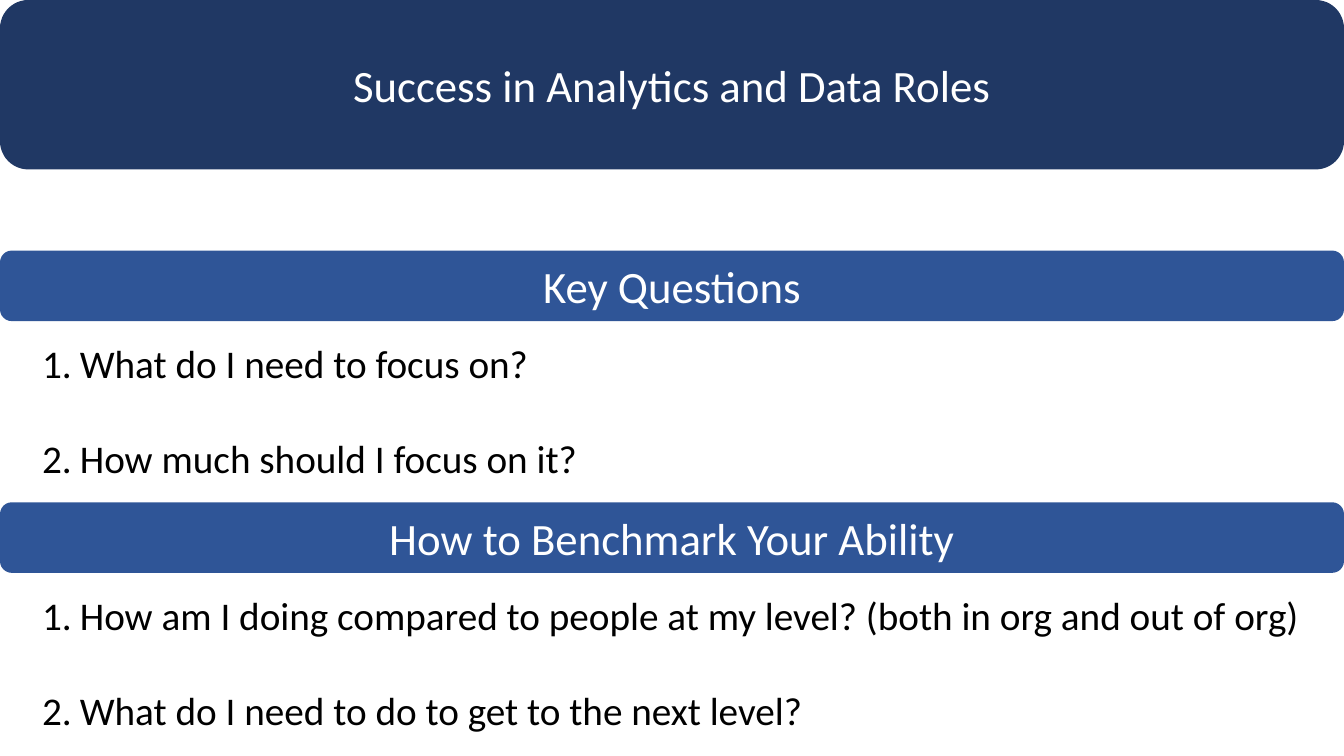
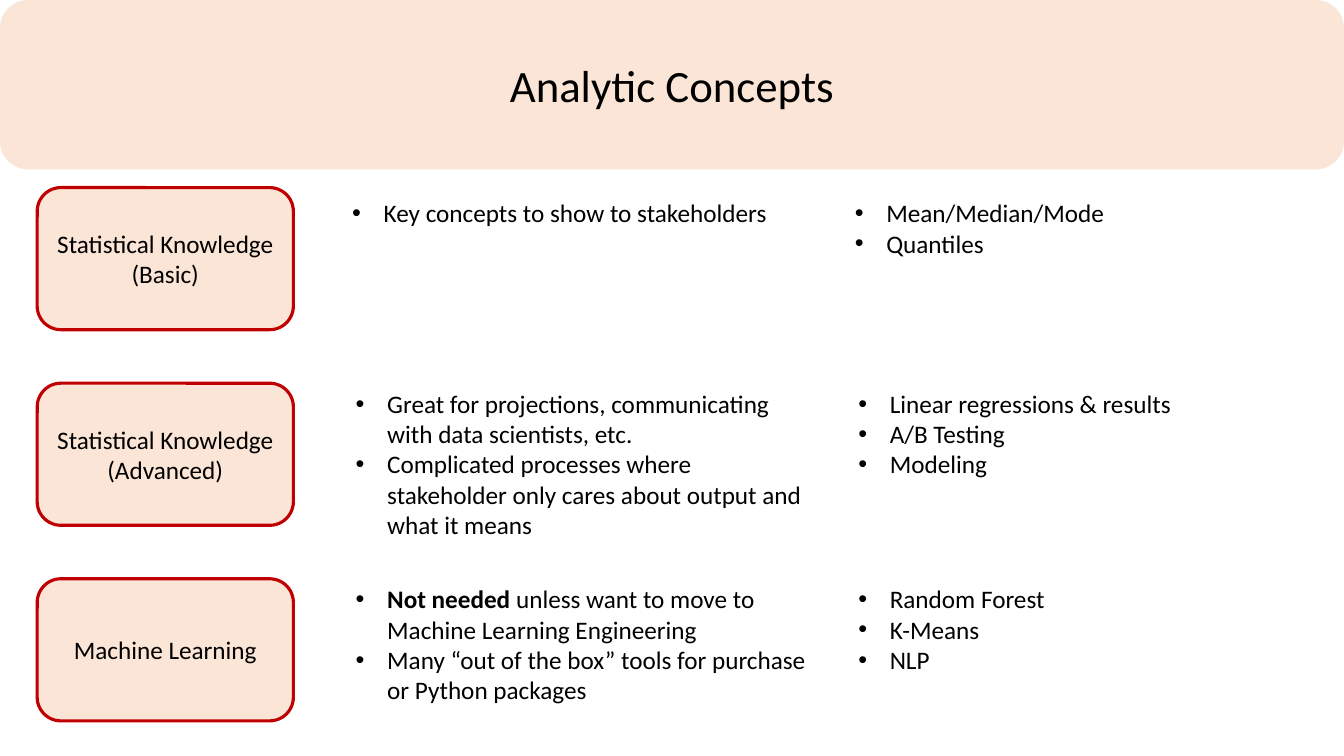
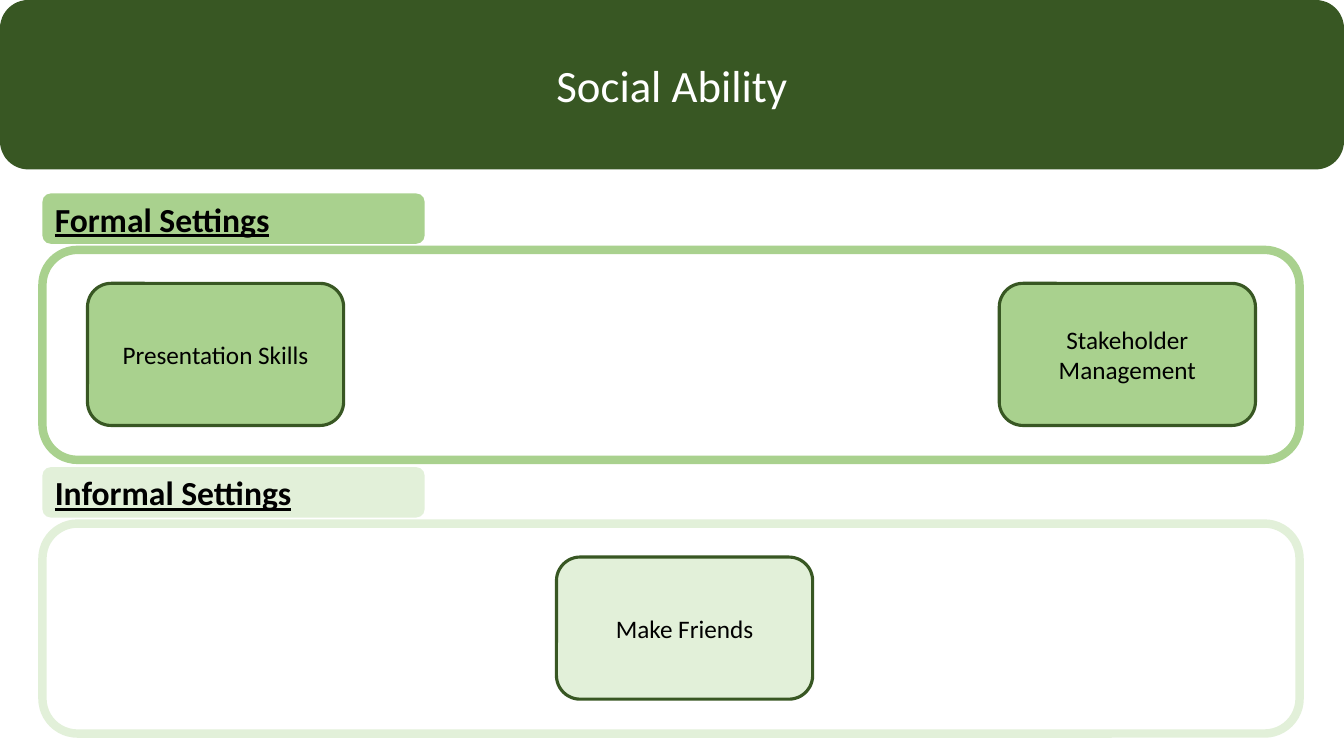
from pptx import Presentation
from pptx.dml.color import RGBColor
from pptx.enum.shapes import MSO_SHAPE
from pptx.enum.text import MSO_ANCHOR, PP_ALIGN
from pptx.oxml.xmlchemy import OxmlElement
from pptx.util import Pt

FONT = "Calibri"
WIDTH, HEIGHT = 960, 540
TITLE_H = 121
CARD_W, CARD_H = 183, 101.5
NAVY, BLUE = "203864", "2F5597"
PEACH, RED = "FBE5D6", "C00000"
FOREST, GREEN, MINT = "385723", "A9D18E", "E2F0D9"
BLACK, WHITE = "000000", "FFFFFF"


def rgb(value):
    """Turn a hex string into a colour."""
    return RGBColor.from_string(value)


def style(r, size, color=BLACK, bold=False, underline=False):
    """Format one run."""
    r.font.name = FONT
    r.font.size = Pt(size)
    r.font.color.rgb = rgb(color)
    r.font.bold = bold
    r.font.underline = underline


def add_box(s, box, fill=None, line=None, line_w=2.25):
    """Add a rounded rectangle with optional fill and outline."""
    sp = s.shapes.add_shape(MSO_SHAPE.ROUNDED_RECTANGLE, *map(Pt, box))
    sp.shadow.inherit = False
    if fill:
        sp.fill.solid()
        sp.fill.fore_color.rgb = rgb(fill)
    else:
        sp.fill.background()
    if line:
        sp.line.color.rgb = rgb(line)
        sp.line.width = Pt(line_w)
    else:
        sp.line.fill.background()
    return sp


def add_label(s, box, text, size, fill, line=None, color=BLACK,
              align=PP_ALIGN.CENTER, heading=False):
    """Add a filled rounded rectangle holding one line of text."""
    tf = add_box(s, box, fill, line).text_frame
    tf.word_wrap = True
    tf.vertical_anchor = MSO_ANCHOR.MIDDLE
    tf.text = text
    p = tf.paragraphs[0]
    p.alignment = align
    style(p.runs[0], size, color, heading, heading)


def add_band(s, top, height, text, fill, color=WHITE):
    """Add a full-width heading band."""
    add_label(s, (0, top, WIDTH, height), text, 32, fill, color=color)


def add_list(s, box, items, size, indent, numbered=False, gap=0):
    """Add a list; parts of an item before a bar are bold."""
    tf = s.shapes.add_textbox(*map(Pt, box)).text_frame
    tf.word_wrap = True
    for i, item in enumerate(items):
        p = tf.add_paragraph() if i else tf.paragraphs[0]
        p.space_before = Pt(gap if i else 0)
        *leads, rest = item.split("|")
        for text in leads + [rest]:
            r = p.add_run()
            r.text = text
            style(r, size, bold=text in leads)
        pPr = p._p.get_or_add_pPr()
        pPr.set("marL", str(Pt(indent)))
        pPr.set("indent", str(-Pt(indent)))
        if numbered:
            marker = OxmlElement("a:buAutoNum")
            marker.set("type", "arabicPeriod")
        else:
            font = OxmlElement("a:buFont")
            font.set("typeface", "Arial")
            pPr.append(font)
            marker = OxmlElement("a:buChar")
            marker.set("char", "•")
        pPr.append(marker)


def add_slide(prs, title, fill, color=WHITE):
    """Add a blank slide with its title band."""
    s = prs.slides.add_slide(prs.slide_layouts[6])
    add_band(s, 0, TITLE_H, title, fill, color)
    return s


def add_questions(s, top, heading, items):
    """Add a heading band with numbered questions below it."""
    add_band(s, top, 50.4, heading, BLUE)
    add_list(s, (23, top + 60, 914, 109), items, 28, 27, numbered=True, gap=34)


def add_concept(s, top, name, columns, dx=0, dy=0):
    """Add a concept card with columns of bullets, shifted by dx and dy."""
    add_label(s, (26.6, top, CARD_W, CARD_H), name, 18, PEACH, RED)
    for i, items in enumerate(columns):
        box = (247 + i * 359 + dx, top + dy, 342.7, CARD_H)
        add_list(s, box, items, 18, 22.5)


def add_setting(s, left, top, name, color, cards):
    """Add a tagged frame with cards given as name and offset."""
    add_label(s, (left, top, 273, 36), name, 24, color,
              align=PP_ALIGN.LEFT, heading=True)
    add_box(s, (left, top + 40.3, 898, 150), line=color, line_w=6)
    for text, dx in cards:
        add_label(s, (left + dx, top + 64.2, CARD_W, CARD_H), text, 18,
                  color, FOREST)


def build_success(prs):
    """Build the slide on success in data roles."""
    s = add_slide(prs, "Success in Analytics and Data Roles", NAVY)
    sections = [
        ("Key Questions",
         ["What do I need to focus on?", "How much should I focus on it?"]),
        ("How to Benchmark Your Ability",
         ["How am I doing compared to people at my level? "
          "(both in org and out of org)",
          "What do I need to do to get to the next level?"]),
    ]
    for i, (heading, items) in enumerate(sections):
        add_questions(s, 179 + i * 179.8, heading, items)


def build_concepts(prs):
    """Build the slide on analytic concepts."""
    s = add_slide(prs, "Analytic Concepts", PEACH, BLACK)
    concepts = [
        ("Statistical Knowledge (Basic)",
         [["Key concepts to show to stakeholders"],
          ["Mean/Median/Mode", "Quantiles"]], -2.5, 3.6),
        ("Statistical Knowledge (Advanced)",
         [["Great for projections, communicating with data scientists, etc.",
           "Complicated processes where stakeholder only cares about output "
           "and what it means"],
          ["Linear regressions & results", "A/B Testing", "Modeling"]]),
        ("Machine Learning",
         [["Not needed |unless want to move to Machine Learning Engineering",
           "Many “out of the box” tools for purchase or Python packages"],
          ["Random Forest", "K-Means", "NLP"]]),
    ]
    for i, concept in enumerate(concepts):
        add_concept(s, 134 + i * 139.7, *concept)


def build_social(prs):
    """Build the slide on social ability."""
    s = add_slide(prs, "Social Ability", FOREST)
    settings = [
        ("Formal Settings", GREEN,
         [("Presentation Skills", 32.2), ("Stakeholder Management", 683.5)]),
        ("Informal Settings", MINT, [("Make Friends", 367.2)]),
    ]
    for i, setting in enumerate(settings):
        add_setting(s, 30.3, 138.2 + i * 195.5, *setting)


def main():
    """Build and save the presentation."""
    prs = Presentation()
    prs.slide_width, prs.slide_height = Pt(WIDTH), Pt(HEIGHT)
    build_success(prs)
    build_concepts(prs)
    build_social(prs)
    prs.save("out.pptx")


if __name__ == "__main__":
    main()
